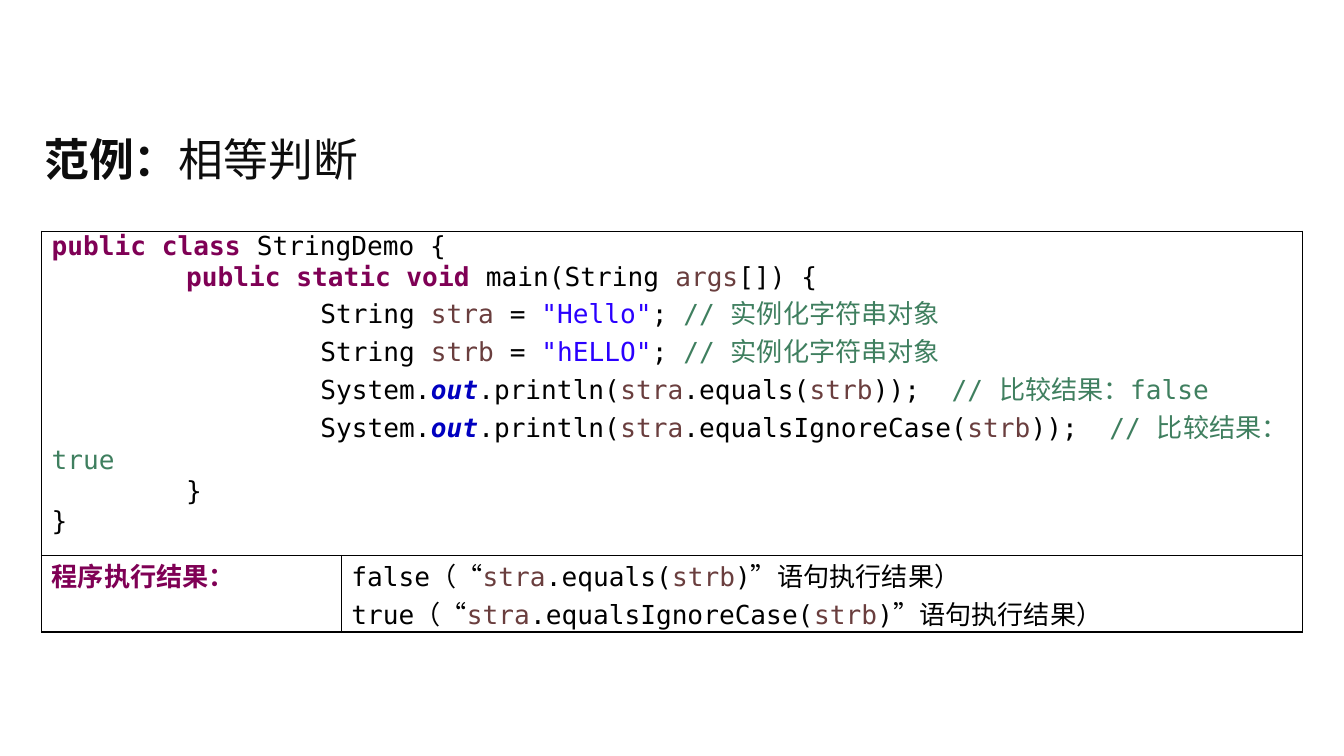
from lxml.etree import SubElement
from pptx import Presentation
from pptx.dml.color import RGBColor
from pptx.enum.text import MSO_ANCHOR as Anchor, PP_ALIGN as Align
from pptx.oxml.ns import qn
from pptx.util import Inches, Pt

MONO, CJK = "DejaVu Sans Mono", "Noto Sans CJK SC"
WIDTH = Inches(10)
HEIGHT = WIDTH * 9 // 16

PLAIN = {"color": "000000"}
KEYWORD = {"color": "7F0055", "bold": True}
VARIABLE = {"color": "6A3E3E"}
STRING = {"color": "2A00FF"}
FIELD = {"color": "0000C0", "bold": True, "italic": True}
COMMENT = {"color": "3F7F5F"}


def rgb(value):
    return RGBColor.from_string(value)


def add_text(paragraph, text, size=14, font=MONO, color="000000", bold=False, italic=False):
    run = paragraph.add_run()
    run.text = text
    run.font.size, run.font.name = Pt(size), font
    run.font.bold, run.font.italic = bold, italic
    run.font.color.rgb = rgb(color)
    SubElement(run.font._element, qn("a:ea"), typeface=CJK)


def add_tab_stops(paragraph, count=2):
    """Put left tab stops one inch apart."""
    stops = SubElement(paragraph._p.get_or_add_pPr(), qn("a:tabLst"))
    for number in range(1, count + 1):
        SubElement(stops, qn("a:tab"), pos=str(Inches(number)), algn="l")


def comparison(method):
    """Runs of a call that compares the two strings, without its last bracket."""
    return [("stra", VARIABLE), (f".{method}(", PLAIN), ("strb", VARIABLE)]


def declaration(name, value):
    return [("\t\tString ", PLAIN), (name, VARIABLE), (" = ", PLAIN),
            (f'"{value}"', STRING), ("; ", PLAIN), ("// 实例化字符串对象", COMMENT)]


def print_call(method, result):
    return [("\t\tSystem.", PLAIN), ("out", FIELD), (".println(", PLAIN),
            *comparison(method), ("));  ", PLAIN), (f"// 比较结果：{result}", COMMENT)]


def output_line(method, result):
    return [(f"{result}（“", PLAIN), *comparison(method), (")”语句执行结果）", PLAIN)]


class SlideBuilder:
    """Style and current slide; places are shares of the slide's size."""

    border_color, border_width = "000000", 1
    title_color, title_size = "0D0D0D", 24
    cell_margin = 5.4

    def __init__(self, presentation):
        self.width, self.height = presentation.slide_width, presentation.slide_height
        self.slide = presentation.slides.add_slide(presentation.slide_layouts[5])

    def box(self, left, top, width, height):
        return (round(left * self.width), round(top * self.height),
                round(width * self.width), round(height * self.height))

    def title(self, place, label, topic):
        shape = self.slide.shapes.title
        shape.left, shape.top, shape.width, shape.height = self.box(*place)
        shape.text_frame.vertical_anchor = Anchor.MIDDLE
        paragraph = shape.text_frame.paragraphs[0]
        paragraph.alignment = Align.LEFT
        for text, bold in ((label, True), (topic, False)):
            add_text(paragraph, text, size=self.title_size, font=CJK,
                     color=self.title_color, bold=bold)

    def table(self, place, columns, rows):
        frame = self.slide.shapes.add_table(len(rows), len(columns), *self.box(*place))
        table = frame.table
        table.first_row = table.horz_banding = False
        for column, share in zip(table.columns, columns):
            column.width = round(share * self.width)
        for row, share in zip(table.rows, rows):
            row.height = round(share * self.height)
        for cell in table.iter_cells():
            self.cell_format(cell)
        return table

    def cell_format(self, cell):
        cell.margin_left = cell.margin_right = Pt(self.cell_margin)
        cell.margin_top = cell.margin_bottom = 0
        properties = cell._tc.get_or_add_tcPr()
        for side in ("lnL", "lnR", "lnT", "lnB"):
            line = SubElement(properties, qn(f"a:{side}"), w=str(Pt(self.border_width)))
            fill = SubElement(line, qn("a:solidFill"))
            SubElement(fill, qn("a:srgbClr"), val=self.border_color)
        cell.fill.background()

    def cell_lines(self, cell, lines):
        frame = cell.text_frame
        for index, runs in enumerate(lines):
            paragraph = frame.add_paragraph() if index else frame.paragraphs[0]
            if runs[0][0].startswith("\t"):
                add_tab_stops(paragraph)
            for text, style in runs:
                add_text(paragraph, text, **style)


def main():
    presentation = Presentation()
    presentation.slide_width, presentation.slide_height = WIDTH, HEIGHT
    builder = SlideBuilder(presentation)
    builder.title((0.023, 0.153, 0.953, 0.114), "范例：", "相等判断")

    table = builder.table((0.031, 0.306, 0.938, 0.5),
                          columns=(0.223, 0.715), rows=(0.429, 0.071))
    code_cell = table.cell(0, 0)
    code_cell.merge(table.cell(0, 1))
    builder.cell_lines(code_cell, [
        [("public class ", KEYWORD), ("StringDemo {", PLAIN)],
        [("\t", PLAIN), ("public static void", KEYWORD), (" main(String ", PLAIN),
         ("args", VARIABLE), ("[]) {", PLAIN)],
        declaration("stra", "Hello"),
        declaration("strb", "hELLO"),
        print_call("equals", "false"),
        print_call("equalsIgnoreCase", "true"),
        [("\t}", PLAIN)],
        [("}", PLAIN)],
    ])
    builder.cell_lines(table.cell(1, 0), [[("程序执行结果：", KEYWORD)]])
    builder.cell_lines(table.cell(1, 1), [output_line("equals", "false"),
                                          output_line("equalsIgnoreCase", "true")])
    presentation.save("out.pptx")


if __name__ == "__main__":
    main()
